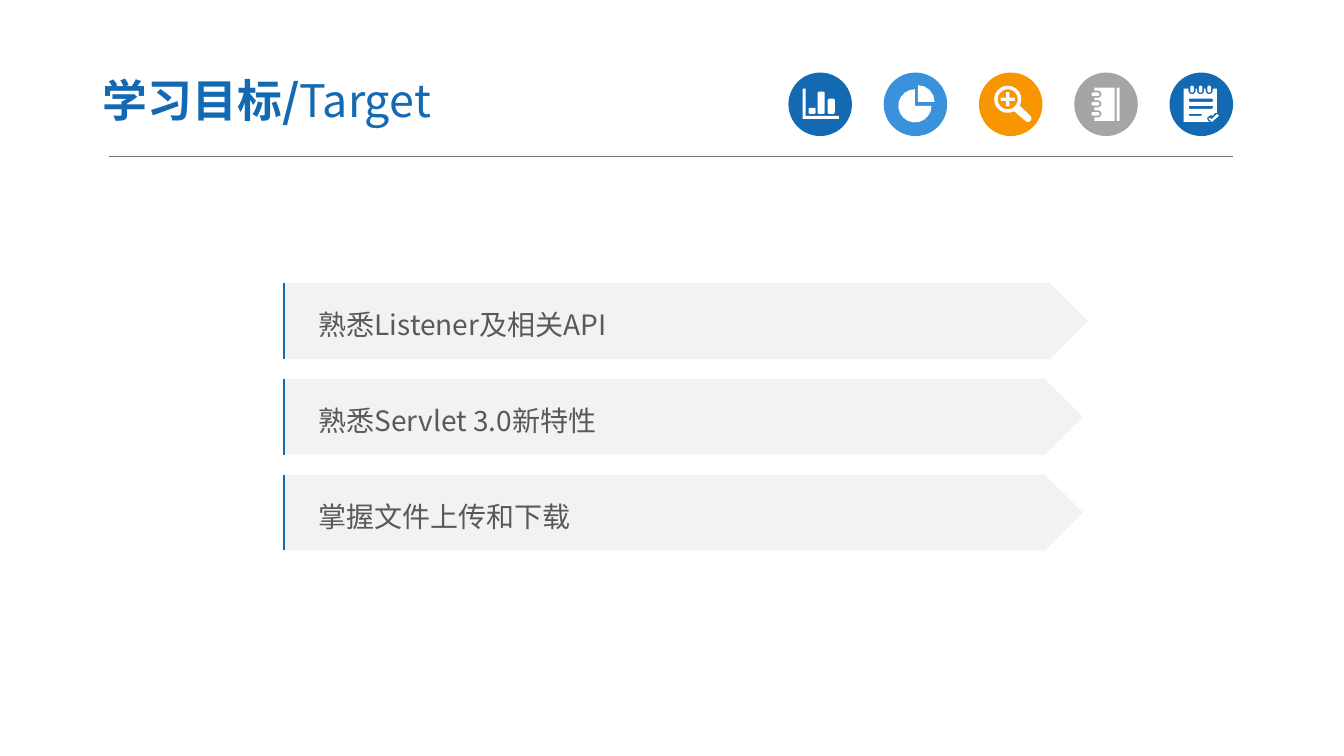
from math import cos, radians, sin

from lxml.etree import SubElement
from pptx import Presentation
from pptx.dml.color import RGBColor
from pptx.enum.shapes import MSO_CONNECTOR, MSO_SHAPE as SHP
from pptx.enum.text import MSO_ANCHOR, MSO_AUTO_SIZE, PP_ALIGN
from pptx.oxml.ns import qn
from pptx.util import Inches, Pt

FONT = "Noto Sans CJK SC"
COLORS = {
    "blue": "1369B2", "sky": "3992DB", "orange": "F79600", "gray": "A5A5A5",
    "white": "FFFFFF", "bar": "F2F2F2", "text": "595959", "rule": "767171",
}
UNIT = 0.01  # icon grid step in inches; a disc is 63 steps wide
DISC = 63
EDGE_BOX = 0.12
GOALS = [
    ("熟悉Listener及相关API", 7.98),
    ("熟悉Servlet 3.0新特性", 7.93),
    ("掌握文件上传和下载", 7.93),
]


def arc(cx, cy, r, start, end):
    """Points along an arc; degrees run clockwise from the right."""
    n = max(3, round(abs(end - start) / 20))
    angles = [radians(start + (end - start) * i / n) for i in range(n + 1)]
    return [(cx + r * cos(a), cy + r * sin(a)) for a in angles]


def rounded(x, y, w, h, r):
    corners = [(x + w - r, y + h - r), (x + r, y + h - r),
               (x + r, y + r), (x + w - r, y + r)]
    return [pt for i, (cx, cy) in enumerate(corners)
            for pt in arc(cx, cy, r, 90 * i, 90 * i + 90)]


# Each glyph is a list of outlines in grid steps; inner outlines are holes
def bar_chart():
    axis = [(14, 16), (17, 16), (17, 43), (50, 43), (50, 46), (14, 46)]
    bars = [(20, 35, 7, 6), (29, 19, 7, 22), (39, 26, 7, 15)]
    return [axis] + [rounded(*bar, 1.5) for bar in bars]


def pie_chart():
    return [[(31, 33)] + arc(31, 33, 16.5, 0, 270),
            [(34, 29)] + arc(34, 29, 16.5, 270, 360)]


def magnifier():
    cx, cy, arm, half = 28.5, 26.5, 7, 1.5
    lens = arc(cx, cy, 13.5, 62, 388) + arc(48.5, 45.5, 3.5, -45, 135)
    plus = [(-half, -arm), (half, -arm), (half, -half), (arm, -half),
            (arm, half), (half, half), (half, arm), (-half, arm),
            (-half, half), (-arm, half), (-arm, -half), (-half, -half)]
    return [lens, arc(cx, cy, 10, 0, 360),
            [(cx + dx, cy + dy) for dx, dy in plus]]


def notebook():
    rings = (41, 31, 21.5)
    page = [(40, 15), (40, 48), (20, 48)]
    for y in rings:
        page += [(20, y + 3.5), *arc(23.5, y, 3.5, 90, -90), (20, y - 3.5)]
    page.append((20, 15))
    return ([page, rounded(42, 15, 3, 33, 1)]
            + [rounded(17, y - 1.75, 8, 3.5, 1.75) for y in rings])


def notepad():
    rings = (22.25, 30.75, 39.25)
    page = [(14, 16)]
    for x in rings:
        page += [(x - 3.5, 16), *arc(x, 18, 3.5, 180, 0), (x + 3.5, 16)]
    page += [(47, 16), (47, 40), (45, 40), (43, 43), (41, 42), (37, 45),
             (38, 48), (40, 49), (14, 49)]
    lines = [(19, 26, 24, 3), (19, 33, 24, 3), (19, 41, 13, 2)]
    tick = [(39, 45), (42, 46), (47, 41), (49, 43), (42, 49), (39, 46.5)]
    return ([page, tick] + [rounded(*line, 1) for line in lines]
            + [rounded(x - 1.75, 13, 3.5, 7, 1.75) for x in rings])


ICONS = [
    ("blue", bar_chart), ("sky", pie_chart), ("orange", magnifier),
    ("gray", notebook), ("blue", notepad),
]


def rgb(name):
    return RGBColor.from_string(COLORS[name])


def paint(s, color):
    s.shadow.inherit = False
    s.fill.solid()
    s.fill.fore_color.rgb = rgb(color)
    s.line.fill.background()


def add_block(shapes, kind, box, color):
    s = shapes.add_shape(kind, *map(Inches, box))
    paint(s, color)
    return s


def add_rule(slide, left, right, y):
    c = slide.shapes.add_connector(
        MSO_CONNECTOR.STRAIGHT, *map(Inches, (left, y, right, y)))
    c.line.color.rgb = rgb("rule")
    c.line.width = Pt(0.5)
    SubElement(c._element.spPr, qn("a:effectLst"))


def style_run(r, size, color, bold=False):
    r.font.size = Pt(size)
    r.font.bold = bold
    r.font.color.rgb = rgb(color)
    r.font.name = FONT
    SubElement(r.font._element, qn("a:ea"), typeface=FONT)


def add_title(slide, left, top, width, height):
    sp = slide.shapes.title
    sp.left, sp.top, sp.width, sp.height = map(
        Inches, (left, top, width, height))
    tf = sp.text_frame
    tf.auto_size = MSO_AUTO_SIZE.NONE
    tf.word_wrap = True
    tf.vertical_anchor = MSO_ANCHOR.MIDDLE
    tf.margin_left = tf.margin_right = Inches(0.13)
    tf.margin_top = tf.margin_bottom = Inches(0.07)
    p = tf.paragraphs[0]
    p.alignment = PP_ALIGN.LEFT
    for text, bold in (("学习目标/", True), ("Target", False)):
        r = p.add_run()
        r.text = text
        style_run(r, 32, "blue", bold)


def add_icon(slide, left, top, color, outlines):
    shapes = slide.shapes.add_group_shape().shapes
    add_block(shapes, SHP.OVAL, (left, top, DISC * UNIT, DISC * UNIT), color)
    fb = None
    for outline in outlines:
        first, *rest = [(Inches(left + x * UNIT), Inches(top + y * UNIT))
                        for x, y in outline]
        if fb is None:
            fb = shapes.build_freeform(*first)
        else:
            fb.move_to(*first)
        fb.add_line_segments(rest, close=True)
    paint(fb.convert_to_shape(), "white")


def add_icon_row(slide, left, top, right):
    step = (right - left - DISC * UNIT) / (len(ICONS) - 1)
    for i, (color, glyph) in enumerate(ICONS):
        add_icon(slide, left + i * step, top, color, glyph())


def add_edge(shapes, x, top, height):
    """Draw the accent line at the left of a slim open outline."""
    fb = shapes.build_freeform(Inches(x), Inches(top + height))
    fb.add_line_segments([(Inches(x), Inches(top))], close=False)
    fb.move_to(Inches(x + EDGE_BOX), Inches(top))
    s = fb.convert_to_shape()
    s.shadow.inherit = False
    s.fill.background()
    s.line.color.rgb = rgb("blue")
    s.line.width = Pt(1.5)


def add_goals(slide, left, top, height, step):
    for i, (text, width) in enumerate(GOALS):
        y = top + i * step
        shapes = slide.shapes.add_group_shape().shapes
        s = add_block(shapes, SHP.PENTAGON, (left, y, width, height), "bar")
        tf = s.text_frame
        tf.word_wrap = True
        tf.vertical_anchor = MSO_ANCHOR.MIDDLE
        tf.margin_left = Inches(0.35)
        tf.text = text
        p = tf.paragraphs[0]
        p.alignment = PP_ALIGN.LEFT
        p.line_spacing = 1.2
        style_run(p.runs[0], 20, "text")
        add_edge(shapes, left + 0.01, y, height)


def main():
    prs = Presentation()
    prs.slide_width, prs.slide_height = Inches(13.33), Inches(7.5)
    slide = prs.slides.add_slide(prs.slide_layouts[5])
    add_rule(slide, 1.08, 12.23, 1.55)
    add_icon_row(slide, 7.82, 0.72, 12.23)
    add_title(slide, 0.89, 0.63, 5.22, 0.72)
    add_goals(slide, 2.81, 2.81, 0.75, 0.95)
    prs.save("out.pptx")


if __name__ == "__main__":
    main()
